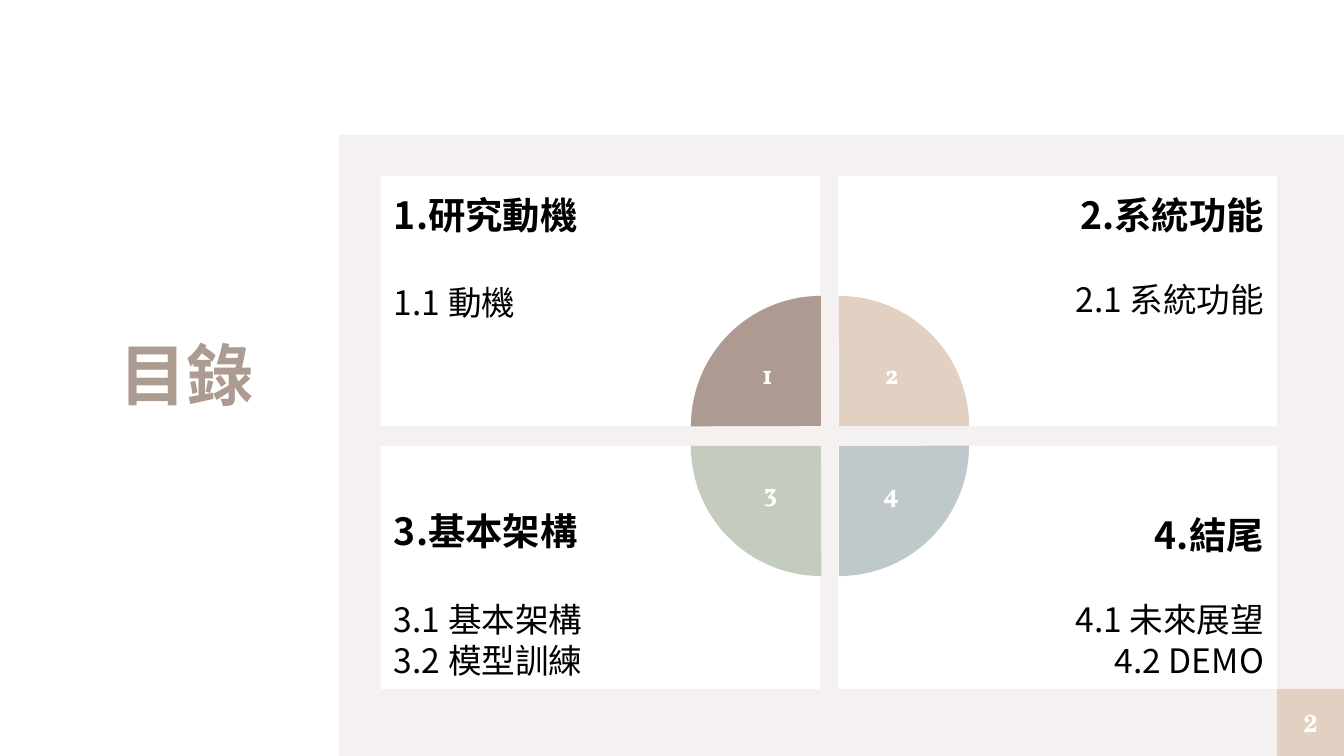
"""Build the contents slide: four section cards around a split pie."""
from lxml.etree import SubElement
from pptx import Presentation
from pptx.dml.color import RGBColor
from pptx.enum.shapes import MSO_SHAPE as SHAPE
from pptx.enum.text import MSO_ANCHOR as ANCHOR, PP_ALIGN as ALIGN
from pptx.oxml.ns import qn
from pptx.util import Pt

PX = 914400 / 134.4
CJK, SERIF, NUMERAL = "Noto Sans CJK SC", "TeX Gyre Schola", "Vollkorn"
WHITE, BLACK, PANEL, SAND, BROWN = "FFFFFF", "000000", "F5F1F0", "E2D1C2", "AD9B91"
SAGE, MIST = "C4CBBF", "BFC8CB"

TITLE = "目錄"
PAGE = "2"
SECTIONS = [
    {"heading": "1.研究動機", "items": ["1.1 動機"], "gap": 24,
     "number": "1", "colour": BROWN, "turn": 0, "label": (751, 351, 33, 48)},
    {"heading": "2.系統功能", "items": ["2.1 系統功能"], "gap": 22,
     "number": "2", "colour": SAND, "turn": 90, "label": (859, 351, 66, 48)},
    {"heading": "3.基本架構", "items": ["3.1 基本架構", "3.2 模型訓練"], "gap": 24,
     "number": "3", "colour": SAGE, "turn": 270, "label": (747, 469, 47, 48)},
    {"heading": "4.結尾", "items": ["4.1 未來展望", "4.2 DEMO"], "gap": 22,
     "number": "4", "colour": MIST, "turn": 180, "label": (871, 470, 40, 48)},
]
CARD_X, CARD_W = (381, 838), 439
CARD_ROWS = ((176, 250), (446, 243))
PIE_X, PIE_Y, PIE_SIZE = (691, 709), (296, 316), 260


def px(length):
    return round(length * PX)


def rgb(colour):
    return RGBColor.from_string(colour)


def apply(target, values):
    for name, value in values.items():
        setattr(target, name, value)


def add_block(shapes, preset, box, colour):
    block = shapes.add_shape(preset, *map(px, box))
    block.shadow.inherit = False
    block.fill.solid()
    block.fill.fore_color.rgb = rgb(colour)
    block.line.fill.background()
    return block


def set_frame(frame, margins=(0, 0, 0, 0), anchor=ANCHOR.TOP):
    left, top, right, bottom = map(px, margins)
    apply(frame, {"margin_left": left, "margin_top": top, "margin_right": right,
                  "margin_bottom": bottom, "word_wrap": True, "vertical_anchor": anchor})


def write(paragraph, words, size, font, colour, bold=True, **layout):
    apply(paragraph, layout)
    run = paragraph.add_run()
    run.text = words
    apply(run.font, {"name": font, "size": Pt(size), "bold": bold})
    run.font.color.rgb = rgb(colour)
    SubElement(run.font._element, qn("a:ea"), typeface=font)


def add_card(shapes, section, column, row):
    top, height = CARD_ROWS[row]
    card = add_block(shapes, SHAPE.RECTANGLE, (CARD_X[column], top, CARD_W, height), WHITE)
    frame = card.text_frame
    sides = ((13, 202), (202, 13))[column]
    set_frame(frame, (sides[0], 16, sides[1], 9), (ANCHOR.TOP, ANCHOR.BOTTOM)[row])
    align = (ALIGN.LEFT, ALIGN.RIGHT)[column]
    write(frame.paragraphs[0], section["heading"], 20, CJK, BLACK,
          alignment=align, line_spacing=Pt(24))
    for order, item in enumerate(section["items"]):
        write(frame.add_paragraph(), item, 18, CJK, BLACK, bold=False,
              alignment=align, line_spacing=Pt(22),
              space_before=Pt(0 if order else section["gap"]))


def add_quarter(shapes, section, column, row):
    box = (PIE_X[column], PIE_Y[row], PIE_SIZE, PIE_SIZE)
    quarter = add_block(shapes, SHAPE.PIE, box, section["colour"])
    quarter.adjustments[0], quarter.adjustments[1] = 107.89, 162
    quarter.rotation = section["turn"]


def add_number(shapes, section):
    frame = shapes.add_textbox(*map(px, section["label"])).text_frame
    set_frame(frame, (0, 7, 0, 7))
    write(frame.paragraphs[0], section["number"], 14, NUMERAL, WHITE, alignment=ALIGN.CENTER)


def main():
    deck = Presentation()
    deck.slide_width, deck.slide_height = px(1344), px(756)
    slide = deck.slides.add_slide(deck.slide_layouts[5])
    shapes = slide.shapes

    title = shapes.title
    apply(title, dict(zip(("left", "top", "width", "height"), map(px, (67, 121, 239, 568)))))
    set_frame(title.text_frame, (0, 213, 0, 0))
    write(title.text_frame.paragraphs[0], TITLE, 36, CJK, BROWN,
          alignment=ALIGN.CENTER, line_spacing=Pt(43))

    add_block(shapes, SHAPE.RECTANGLE, (339, 135, 1005, 621), PANEL)
    page = add_block(shapes, SHAPE.RECTANGLE, (1277, 689, 67, 67), SAND)
    set_frame(page.text_frame, anchor=ANCHOR.MIDDLE)
    write(page.text_frame.paragraphs[0], PAGE, 13, SERIF, WHITE, alignment=ALIGN.CENTER)

    for add_part in (add_card, add_quarter):
        for index, section in enumerate(SECTIONS):
            row, column = divmod(index, 2)
            add_part(shapes, section, column, row)
    for section in SECTIONS:
        add_number(shapes, section)

    deck.save("out.pptx")


if __name__ == "__main__":
    main()
